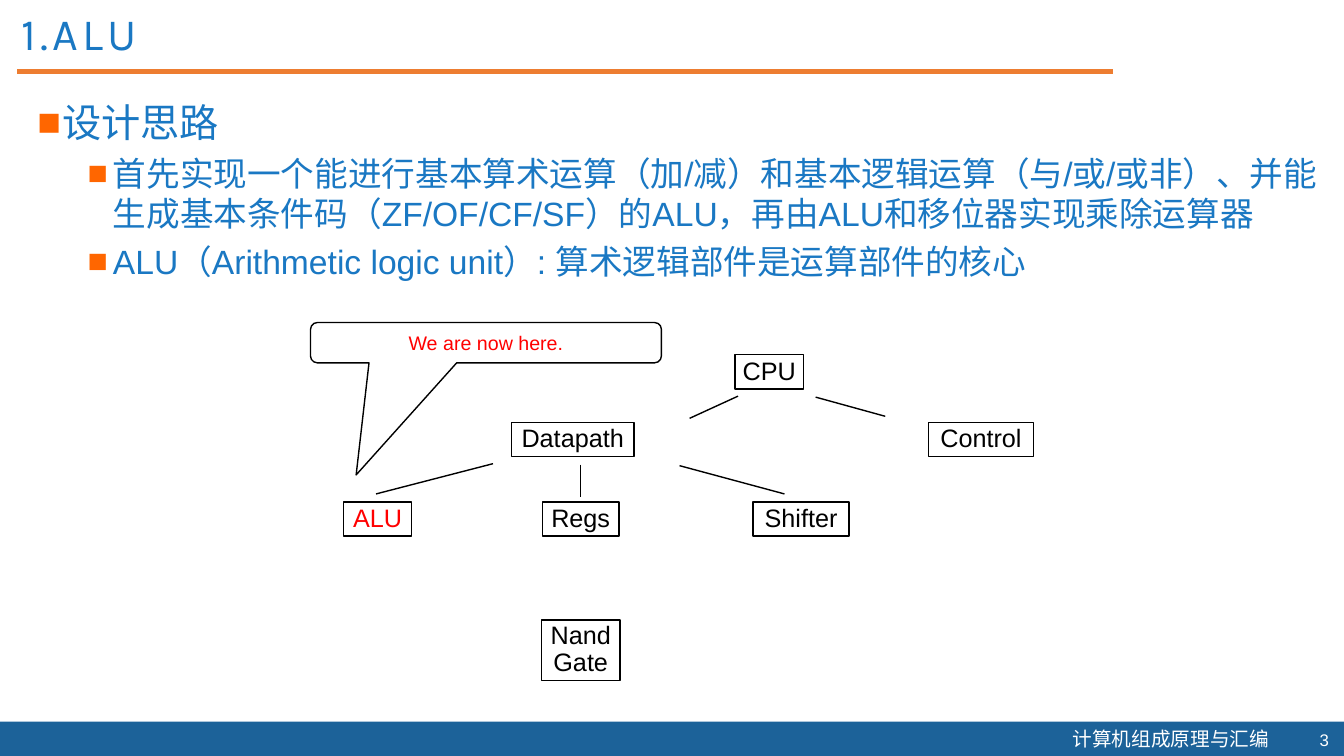
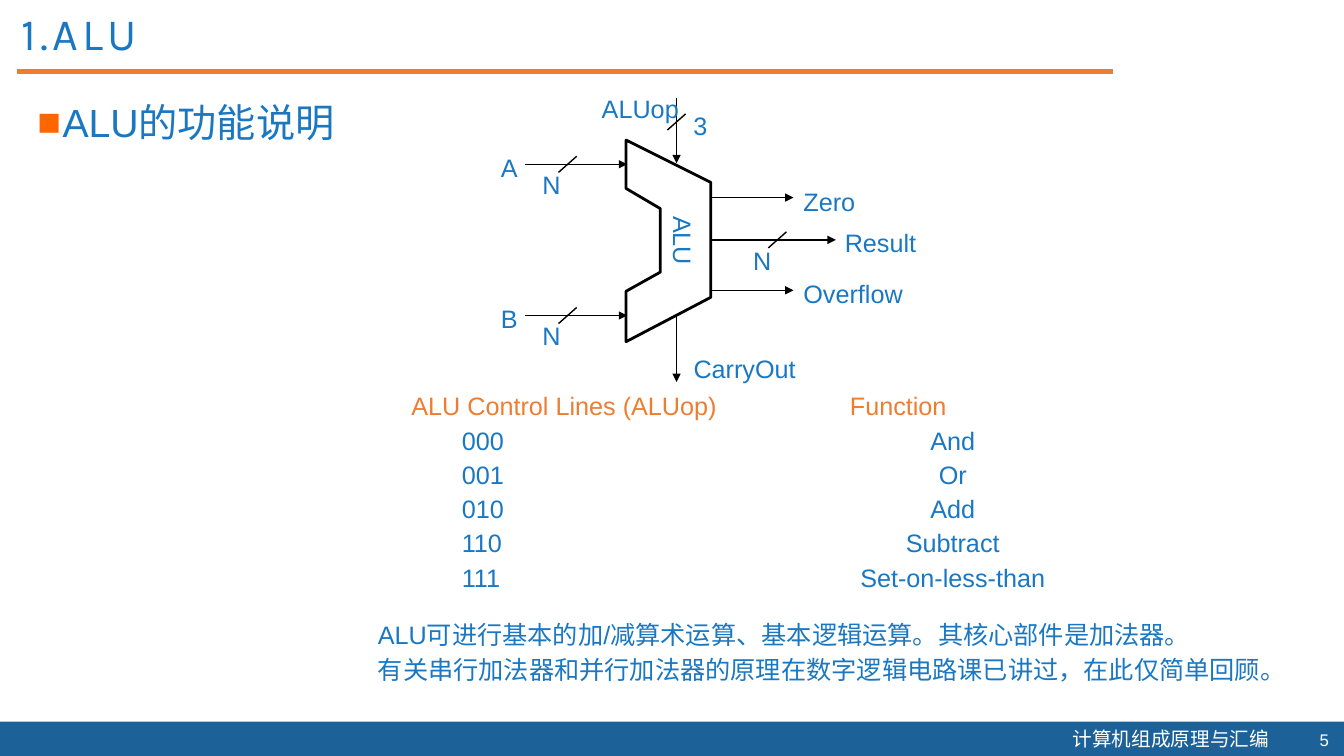
from dataclasses import dataclass

from lxml.etree import SubElement
from pptx import Presentation
from pptx.dml.color import RGBColor
from pptx.enum.shapes import MSO_CONNECTOR, MSO_SHAPE
from pptx.enum.text import MSO_ANCHOR, MSO_AUTO_SIZE, PP_ALIGN
from pptx.oxml.ns import qn
from pptx.util import Inches, Pt


@dataclass(frozen=True)
class Theme:
    blue: str = "1A78C3"
    band: str = "1C6299"
    orange: str = "ED7D31"
    bullet: str = "FF6600"
    red: str = "FF0000"
    black: str = "000000"
    white: str = "FFFFFF"
    title_font: str = "Karla"
    text_font: str = "Arial"
    footer_font: str = "Noto Sans CJK SC"
    title_size: int = 32
    level_sizes: tuple = (28, 24)
    text_size: int = 18
    small_size: int = 14
    number_size: int = 12
    thin: int = 1
    thick: int = 2
    rule: int = 3


@dataclass(frozen=True)
class Box:
    left: float
    top: float
    width: float
    height: float

    def inner(self, x, y, width=0, height=0):
        return Box(self.left + x, self.top + y, width, height)

    def point(self, x, y):
        return Inches(self.left + x), Inches(self.top + y)

    def frame(self):
        return tuple(map(Inches, (self.left, self.top, self.width, self.height)))


THEME = Theme()
TITLE_BOX = Box(0.11, 0.07, 10.65, 0.48)
BODY_BOX = Box(0.27, 0.93, 12.94, 6.07)
FOOTER_BOX = Box(0, 7.16, 13.33, 0.35)
LEVEL_SPACE = (10, 5)
LEVEL_INDENT = (0.25, 0.75)
LABEL_HEIGHT = 0.4
NODE_HEIGHT = 0.34
NO_STYLE = "{2D5ABB26-0587-4C30-8999-92F81FD0307C}"


def apply_format(target, values):
    for name, value in values.items():
        setattr(target, name, value)


def write_paragraph(paragraph, text, color=THEME.blue, size=THEME.text_size,
                    font=THEME.text_font, **values):
    run = paragraph.add_run()
    run.text = text
    apply_format(run.font, {"name": font, "size": Pt(size)})
    run.font.color.rgb = RGBColor.from_string(color)
    apply_format(paragraph, values)
    return run


def write_lines(text_frame, lines, **values):
    for index, line in enumerate(lines):
        paragraph = text_frame.add_paragraph() if index else text_frame.paragraphs[0]
        write_paragraph(paragraph, line, **values)


def add_text(slide, box, lines, frame_values=None, **values):
    shape = slide.shapes.add_textbox(*box.frame())
    apply_format(shape.text_frame, {"word_wrap": True, **(frame_values or {})})
    write_lines(shape.text_frame, lines, **values)
    return shape


def set_line(shape, color, width):
    shape.line.color.rgb = RGBColor.from_string(color)
    shape.line.width = Pt(width)


def add_line(slide, start, end, color=THEME.black, width=THEME.thin, arrow=False):
    connector = slide.shapes.add_connector(MSO_CONNECTOR.STRAIGHT, *start, *end)
    set_line(connector, color, width)
    if arrow:
        SubElement(connector.line._get_or_add_ln(), qn("a:tailEnd"), type="triangle")
    SubElement(connector.element.spPr, qn("a:effectLst"))
    return connector


def add_outlined(slide, kind, box, lines, frame_values, **values):
    shape = slide.shapes.add_shape(kind, *box.frame())
    shape.shadow.inherit = False
    shape.fill.background()
    set_line(shape, THEME.black, THEME.thin)
    apply_format(shape.text_frame, {"vertical_anchor": MSO_ANCHOR.MIDDLE, **frame_values})
    write_lines(shape.text_frame, lines, alignment=PP_ALIGN.CENTER, **values)
    return shape


def add_bullet(paragraph, indent):
    properties = paragraph._p.get_or_add_pPr()
    properties.set("marL", str(Inches(indent)))
    properties.set("indent", str(Inches(-0.25)))
    color = SubElement(properties, qn("a:buClr"))
    SubElement(color, qn("a:srgbClr"), val=THEME.bullet)
    SubElement(properties, qn("a:buFont"), typeface=THEME.text_font)
    SubElement(properties, qn("a:buChar"), char="■")


def furnish_layout(layout, slide):
    for placeholder, box in zip(layout.placeholders, (TITLE_BOX, BODY_BOX)):
        apply_format(placeholder, dict(zip(("left", "top", "width", "height"), box.frame())))
    band = slide.shapes.add_shape(MSO_SHAPE.RECTANGLE, *FOOTER_BOX.frame())
    band.shadow.inherit = False
    band.fill.solid()
    band.fill.fore_color.rgb = RGBColor.from_string(THEME.band)
    band.line.fill.background()
    course = add_text(slide, FOOTER_BOX.inner(10.54, 0, 2.18, 0.34), ["计算机组成原理与汇编"],
                      color=THEME.white, size=THEME.small_size, font=THEME.footer_font)
    rule = add_line(slide, TITLE_BOX.point(0.06, 0.64), TITLE_BOX.point(10.93, 0.64),
                    THEME.orange, THEME.rule)
    tree = layout.placeholders[0].element.getparent()
    for identifier, shape in enumerate((band, course, rule), start=20):
        shape.element.xpath(".//p:cNvPr")[0].set("id", str(identifier))
        tree.append(shape.element)


def fill_slide(slide, number, title, items):
    for placeholder in slide.placeholders:
        apply_format(placeholder.text_frame, {
            "auto_size": MSO_AUTO_SIZE.NONE, "vertical_anchor": MSO_ANCHOR.TOP})
    run = write_paragraph(slide.shapes.title.text_frame.paragraphs[0], title,
                          size=THEME.title_size, font=THEME.title_font,
                          alignment=PP_ALIGN.LEFT, line_spacing=0.9)
    run.font._element.set("spc", "300")
    body = slide.placeholders[1].text_frame
    for index, (level, text) in enumerate(items):
        paragraph = body.add_paragraph() if index else body.paragraphs[0]
        write_paragraph(paragraph, text, size=THEME.level_sizes[level], level=level,
                        space_before=Pt(LEVEL_SPACE[level]))
        add_bullet(paragraph, LEVEL_INDENT[level])
    add_text(slide, FOOTER_BOX.inner(12.78, 0.03, 0.5, 0.3), [str(number)],
             {"vertical_anchor": MSO_ANCHOR.MIDDLE}, color=THEME.white,
             size=THEME.number_size, alignment=PP_ALIGN.RIGHT)


def draw_component_tree(slide, box):
    nodes = [
        ("CPU", 4.29, 0.32, 0.68, THEME.black),
        ("Datapath", 2.07, 0.99, 1.22, THEME.black),
        ("Control", 6.21, 0.99, 1.04, THEME.black),
        ("ALU", 0.41, 1.78, 0.67, THEME.red),
        ("Regs", 2.38, 1.78, 0.76, THEME.black),
        ("Shifter", 4.47, 1.78, 0.95, THEME.black),
        ("Nand\nGate", 2.37, 2.95, 0.78, THEME.black),
    ]
    links = [
        ((4.32, 0.73), (3.84, 0.95)),
        ((5.09, 0.74), (5.78, 0.93)),
        ((2.76, 1.41), (2.76, 1.73)),
        ((3.74, 1.42), (4.78, 1.7)),
        ((1.89, 1.4), (0.73, 1.7)),
    ]
    side, edge = Inches(0.07), Inches(0.03)
    node_frame = {"margin_left": side, "margin_right": side, "margin_top": edge,
                  "margin_bottom": edge, "word_wrap": False}
    for text, x, y, width, color in nodes:
        lines = text.split("\n")
        height = NODE_HEIGHT + 0.26 * (len(lines) - 1)
        add_outlined(slide, MSO_SHAPE.RECTANGLE, box.inner(x, y, width, height), lines,
                     node_frame, color=color, line_spacing=0.9)
    for start, end in links:
        add_line(slide, box.point(*start), box.point(*end))
    callout = add_outlined(slide, MSO_SHAPE.ROUNDED_RECTANGULAR_CALLOUT,
                           box.inner(0.08, 0, 3.48, 0.4), ["We are now here."],
                           {"word_wrap": True}, color=THEME.red, size=THEME.small_size)
    for index, value in enumerate((-0.37, 3.28, 0.17)):
        callout.adjustments[index] = value


def draw_alu(slide, box):
    outline = [(1.41, 0.59), (2.25, 1.01), (2.25, 2.15), (1.41, 2.59),
               (1.41, 2.09), (1.75, 1.9), (1.75, 1.27), (1.41, 1.07)]
    arrows = [
        ((0.41, 0.83), (1.42, 0.83)),
        ((0.41, 2.33), (1.42, 2.33)),
        ((2.25, 1.16), (3.07, 1.16)),
        ((2.25, 1.58), (3.49, 1.58)),
        ((2.25, 2.08), (3.07, 2.08)),
        ((1.91, 0.17), (1.91, 0.82)),
        ((1.91, 2.34), (1.91, 2.99)),
    ]
    bus_marks = [(0.83, 0.83), (0.83, 2.33), (2.91, 1.58), (1.91, 0.41)]
    labels = [
        ("A", 0.07, 0.66, 0.37), ("B", 0.07, 2.16, 0.37),
        ("N", 0.48, 0.83, 0.38), ("N", 0.48, 2.33, 0.38), ("N", 2.57, 1.58, 0.38),
        ("ALUop", 1.07, 0.08, 0.97), ("3", 1.98, 0.25, 0.34),
        ("Zero", 3.07, 1, 0.72), ("Result", 3.48, 1.41, 0.92),
        ("Overflow", 3.07, 1.91, 1.2), ("CarryOut", 1.98, 2.66, 1.22),
        ("ALU", 1.63, 1.39, 0.69),
    ]
    start, *corners = [box.point(*corner) for corner in outline]
    builder = slide.shapes.build_freeform(*start)
    builder.add_line_segments(corners, close=True)
    body = builder.convert_to_shape()
    body.shadow.inherit = False
    body.fill.background()
    set_line(body, THEME.black, THEME.thick)
    for tail, tip in arrows:
        add_line(slide, box.point(*tail), box.point(*tip), arrow=True)
    for x, y in bus_marks:
        add_line(slide, box.point(x + 0.09, y - 0.08), box.point(x - 0.09, y + 0.08))
    for text, x, y, width in labels:
        label = add_text(slide, box.inner(x, y, width, LABEL_HEIGHT), [text],
                         {"word_wrap": False})
        label.rotation = 90 if text == "ALU" else 0


def draw_function_table(slide, box):
    rows = [
        ("ALU Control Lines (ALUop)", "Function"),
        ("000", "And"),
        ("001", "Or"),
        ("010", "Add"),
        ("110", "Subtract"),
        ("111", "Set-on-less-than"),
    ]
    table = slide.shapes.add_table(len(rows), 2, *box.frame()).table
    apply_format(table, {"first_row": False, "horz_banding": False})
    table._tbl.tblPr.find(qn("a:tableStyleId")).text = NO_STYLE
    for column, width in zip(table.columns, (4.35, box.width - 4.35)):
        column.width = Inches(width)
    for row_index, row in enumerate(rows):
        for column_index, text in enumerate(row):
            header = row_index == 0
            centred = column_index == 1 and not header
            margin = 0.6 if column_index == 0 and not header else 0.1
            cell = table.cell(row_index, column_index)
            cell.fill.background()
            apply_format(cell, {
                "margin_left": Inches(margin), "margin_right": Inches(0.1),
                "margin_top": 0, "margin_bottom": 0,
                "vertical_anchor": MSO_ANCHOR.MIDDLE})
            write_paragraph(cell.text_frame.paragraphs[0], text,
                            color=THEME.orange if header else THEME.blue,
                            alignment=PP_ALIGN.CENTER if centred else PP_ALIGN.LEFT)


def build_design_slide(slide):
    fill_slide(slide, 3, "1.ALU", [
        (0, "设计思路"),
        (1, "首先实现一个能进行基本算术运算（加/减）和基本逻辑运算（与/或/或非）、"
            "并能生成基本条件码（ZF/OF/CF/SF）的ALU，再由ALU和移位器实现乘除运算器"),
        (1, "ALU（Arithmetic logic unit）: 算术逻辑部件是运算部件的核心"),
    ])
    draw_component_tree(slide, Box(3, 3.2, 7.25, 3.55))


def build_function_slide(slide):
    fill_slide(slide, 5, "1.ALU", [(0, "ALU的功能说明")])
    draw_alu(slide, Box(4.8, 0.8, 4.4, 3.06))
    draw_function_table(slide, Box(3.98, 3.87, 6.59, 2.04))
    add_text(slide, Box(3.65, 6.09, 9.27, 0.77), [
        "ALU可进行基本的加/减算术运算、基本逻辑运算。其核心部件是加法器。",
        "有关串行加法器和并行加法器的原理在数字逻辑电路课已讲过，在此仅简单回顾。",
    ], space_before=Pt(3.6))


def main():
    presentation = Presentation()
    apply_format(presentation, {"slide_width": Inches(13.33), "slide_height": Inches(7.5)})
    layout = presentation.slide_layouts[1]
    slides = [presentation.slides.add_slide(layout) for _ in range(2)]
    furnish_layout(layout, slides[0])
    for build, slide in zip((build_design_slide, build_function_slide), slides):
        build(slide)
    presentation.save("out.pptx")


if __name__ == "__main__":
    main()
